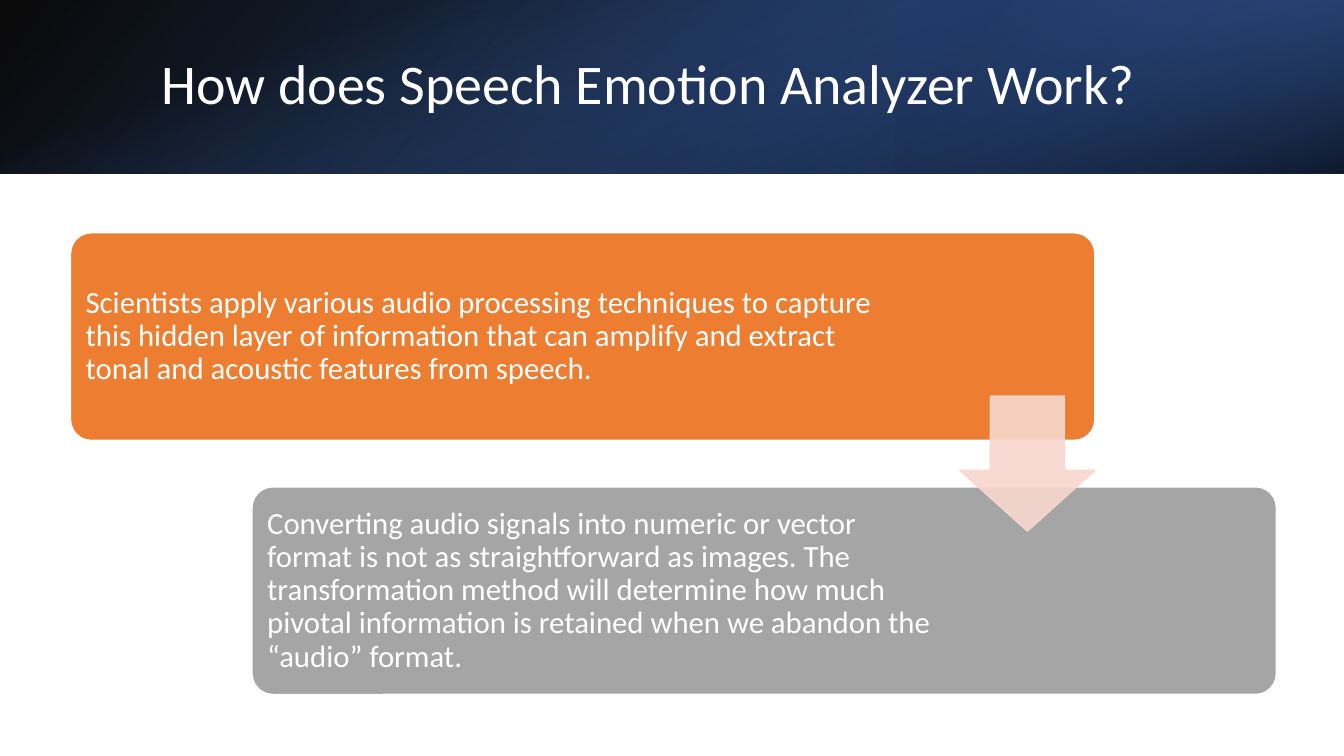
from dataclasses import dataclass

from lxml import etree
from pptx import Presentation
from pptx.dml.color import RGBColor
from pptx.enum import shapes, text
from pptx.oxml.ns import qn
from pptx.util import Inches, Pt


@dataclass(frozen=True)
class Theme:
    font: str = "Calibri"
    title_size: int = 40
    body_size: int = 22
    white: str = "FFFFFF"
    black: str = "000000"
    navy: str = "203864"
    dark_blue: str = "2F5597"
    blue: str = "4472C4"
    orange: str = "ED7D31"
    gray: str = "A5A5A5"
    blush: str = "F8D7CE"


@dataclass(frozen=True)
class Box:
    left: float
    top: float
    width: float
    height: float

    def lengths(self) -> tuple:
        return tuple(Inches(v) for v in (self.left, self.top, self.width, self.height))


@dataclass(frozen=True)
class Stop:
    position: float
    color: str
    opacity: int


@dataclass(frozen=True)
class BannerLayer:
    box: Box
    stops: tuple[Stop, Stop]
    angle: int  # clockwise
    rotation: int = 0
    flipped: bool = False


@dataclass(frozen=True)
class Step:
    left: float
    top: float
    text_width: float
    color: str
    wording: str


THEME = Theme()
SLIDE_W, SLIDE_H, BANNER_H = 13.33, 7.5, 1.72
STEP_W, STEP_H, STEP_PAD = 10.16, 2.06, 0.06
SIDEWAYS = (SLIDE_W - BANNER_H) / 2

BANNER = (
    BannerLayer(Box(0, 0, SLIDE_W, BANNER_H),
                (Stop(0, THEME.black, 96), Stop(1, THEME.dark_blue, 100)),
                140, flipped=True),
    BannerLayer(Box(SLIDE_W * 2 / 3, 0, SLIDE_W / 3, BANNER_H),
                (Stop(0.19, THEME.navy, 68), Stop(1, THEME.blue, 79)),
                320, rotation=180, flipped=True),
    BannerLayer(Box(SIDEWAYS, -SIDEWAYS, BANNER_H, SLIDE_W),
                (Stop(0.23, THEME.blue, 0), Stop(0.99, THEME.black, 74)),
                340, rotation=90),
)
STEPS = (
    Step(0.7, 2.31, 8.03, THEME.orange,
         "Scientists apply various audio processing techniques to capture this hidden "
         "layer of information that can amplify and extract tonal and acoustic features "
         "from speech."),
    Step(2.5, 4.83, 6.9, THEME.gray,
         "Converting audio signals into numeric or vector format is not as "
         "straightforward as images. The transformation method will determine how much "
         "pivotal information is retained when we abandon the “audio” format."),
)


def set_opacity(color_element, percent: int) -> None:
    alpha = etree.SubElement(color_element, qn("a:alpha"))
    alpha.set("val", str(percent * 1000))


def add_block(slide, kind, box: Box, color: str | None = None, line: str | None = None,
              adjustments: tuple = ()):
    block = slide.shapes.add_shape(kind, *box.lengths())
    block.shadow.inherit = False
    for index, value in enumerate(adjustments):
        block.adjustments[index] = value
    if color:
        block.fill.solid()
        block.fill.fore_color.rgb = RGBColor.from_string(color)
    if line:
        block.line.color.rgb = RGBColor.from_string(line)
        block.line.width = Pt(1)
    else:
        block.line.fill.background()
    return block


def add_banner_layer(slide, layer: BannerLayer) -> None:
    band = add_block(slide, shapes.MSO_SHAPE.RECTANGLE, layer.box)
    band.rotation = layer.rotation
    if layer.flipped:
        band.element.spPr.find(qn("a:xfrm")).set("flipH", "1")
    band.fill.gradient()
    band.fill.gradient_angle = 360 - layer.angle
    for gradient_stop, stop in zip(band.fill.gradient_stops, layer.stops):
        gradient_stop.position = stop.position
        gradient_stop.color.rgb = RGBColor.from_string(stop.color)
    for color_element, stop in zip(band.element.spPr.iter(qn("a:srgbClr")), layer.stops):
        set_opacity(color_element, stop.opacity)


def write(holder, wording: str, *, size: int, inset: float = 0.1) -> None:
    frame = holder.text_frame
    frame.word_wrap = True
    frame.auto_size = text.MSO_AUTO_SIZE.NONE
    frame.vertical_anchor = text.MSO_ANCHOR.MIDDLE
    frame.margin_left = frame.margin_right = Inches(inset)
    frame.margin_top = frame.margin_bottom = Inches(min(inset, 0.09))
    paragraph = frame.paragraphs[0]
    paragraph.alignment = text.PP_ALIGN.LEFT
    paragraph.line_spacing = 0.9
    run = paragraph.add_run()
    run.text = wording
    run.font.name = THEME.font
    run.font.size = Pt(size)
    run.font.color.rgb = RGBColor.from_string(THEME.white)


def add_title(slide, wording: str, box: Box) -> None:
    heading = slide.shapes.title
    heading.left, heading.top, heading.width, heading.height = box.lengths()
    write(heading, wording, size=THEME.title_size)
    # Bring the heading in front of the banner
    heading.element.getparent().append(heading.element)


def add_step(slide, step: Step) -> None:
    add_block(slide, shapes.MSO_SHAPE.ROUNDED_RECTANGLE,
              Box(step.left, step.top, STEP_W, STEP_H),
              step.color, THEME.white, (0.1,))
    words = slide.shapes.add_textbox(*Box(
        step.left + STEP_PAD, step.top + STEP_PAD,
        step.text_width, STEP_H - 2 * STEP_PAD).lengths())
    write(words, step.wording, size=THEME.body_size, inset=0.09)


def main() -> None:
    deck = Presentation()
    deck.slide_width, deck.slide_height = Inches(SLIDE_W), Inches(SLIDE_H)
    slide = deck.slides.add_slide(deck.slide_layouts[5])

    # Banner and title
    for layer in BANNER:
        add_banner_layer(slide, layer)
    add_title(slide, "How does Speech Emotion Analyzer Work?", Box(1.5, 0.38, 10.98, 0.96))

    # Steps
    for step in STEPS:
        add_step(slide, step)

    # Arrow from the first step to the second
    arrow = add_block(slide, shapes.MSO_SHAPE.DOWN_ARROW, Box(9.52, 3.93, 1.34, 1.34),
                      THEME.blush, THEME.blush, (0.55, 0.45))
    for color_element in arrow.element.spPr.iter(qn("a:srgbClr")):
        set_opacity(color_element, 90)

    deck.save("out.pptx")


if __name__ == "__main__":
    main()
